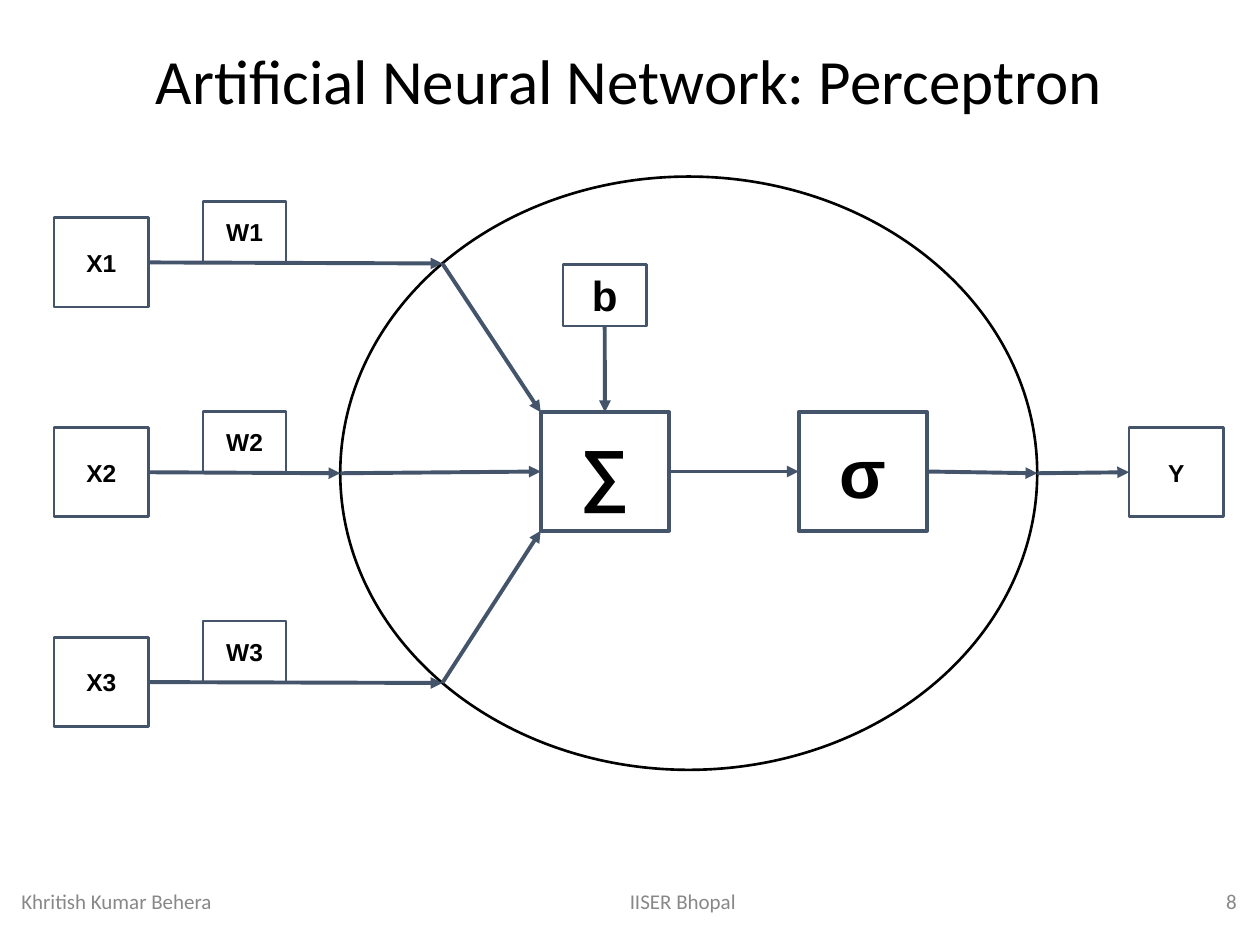
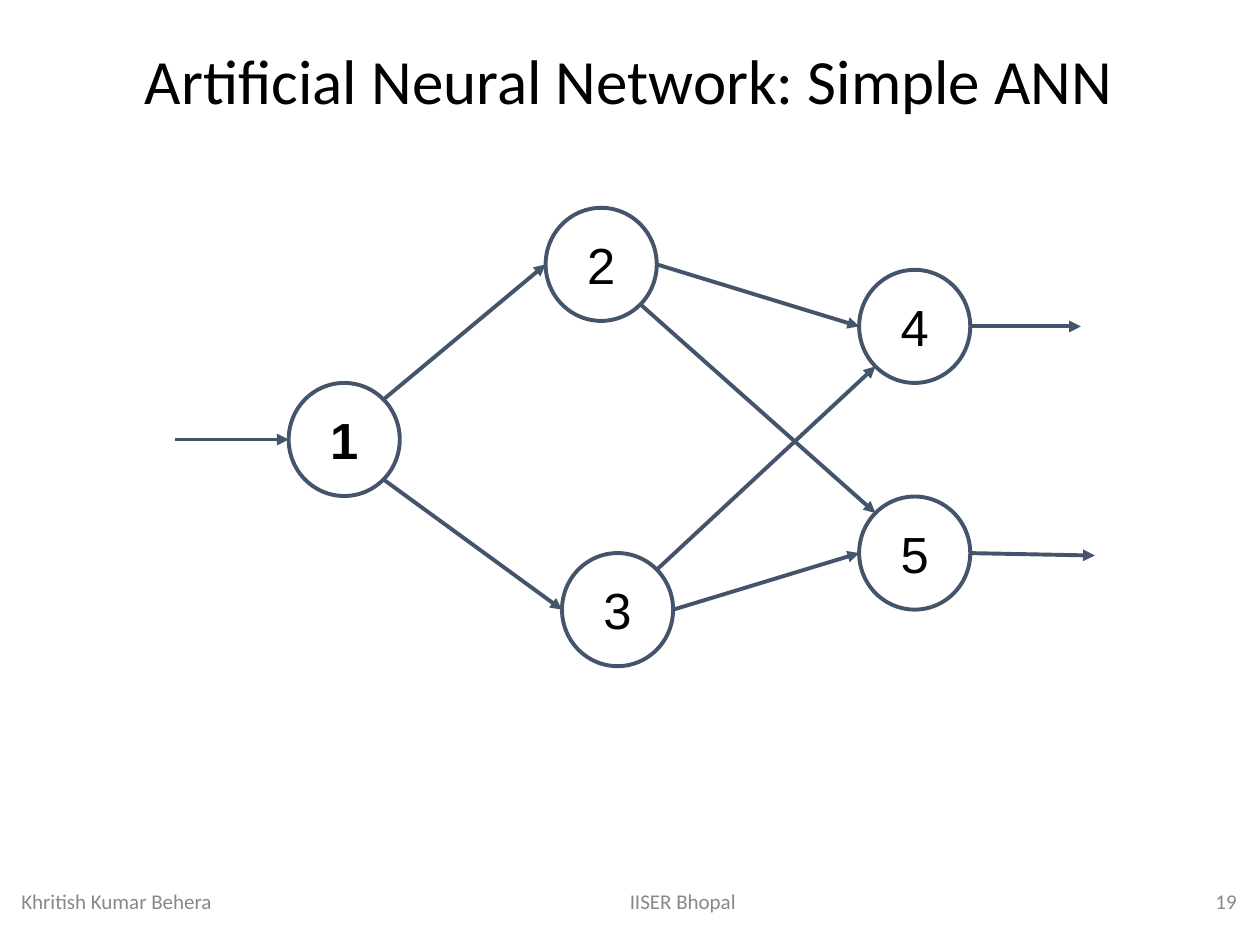
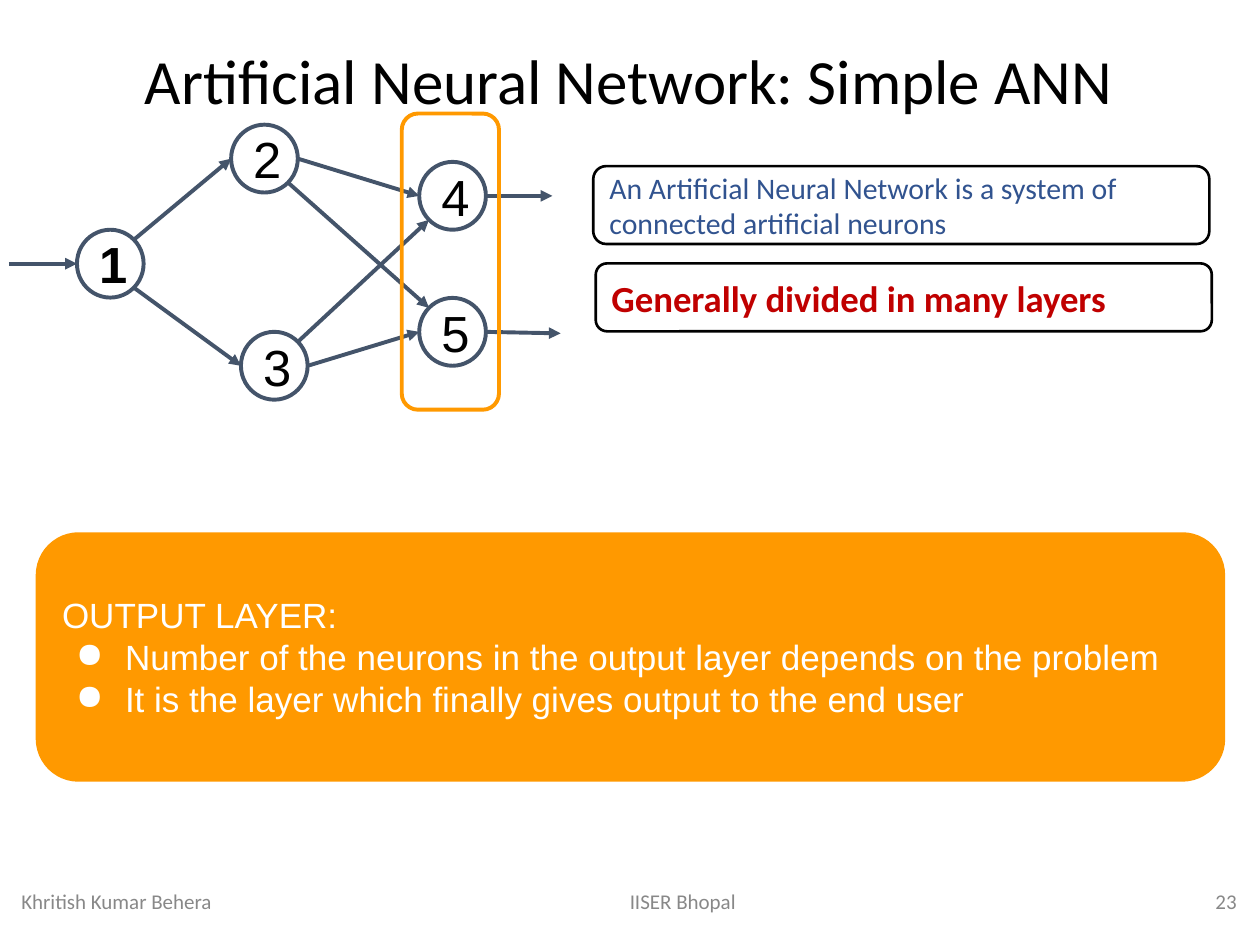
import math

import pptx
import pptx.util
from lxml import etree
from pptx.dml.color import RGBColor
from pptx.enum.shapes import MSO_CONNECTOR, MSO_SHAPE
from pptx.enum.text import MSO_ANCHOR, PP_ALIGN
from pptx.oxml.ns import qn
from pptx.util import Cm

COLORS = {
    "black": "000000", "white": "FFFFFF", "slate": "44546A", "grey": "888888",
    "blue": "31538F", "red": "C00000", "orange": "FF9900",
}
TITLE_FRAME = (0.18, 0.71, 25, 1.8)
AUTHOR, INSTITUTE = "Khritish Kumar Behera", "IISER Bhopal"
FOOTER_TOP, FOOTER_HEIGHT = 17.66, 1.02
TOP, LEFT, BOTTOM, RIGHT = range(4)

# Perceptron: frames are left, top, width, height in centimetres
INPUTS = [("X1", "W1"), ("X2", "W2"), ("X3", "W3")]
ROW_PITCH = 4.23
INPUT_FRAME = (1.09, 4.39, 1.91, 1.8)
WEIGHT_FRAME = (4.09, 4.06, 1.68, 1.24)
NEURON_FRAME = (6.86, 3.56, 14.05, 11.96)
SUM_FRAME = (10.9, 8.31, 2.59, 2.39)
ACTIVATION_FRAME = (16.1, 8.31, 2.59, 2.39)
BIAS_FRAME = (11.35, 5.33, 1.68, 1.24)
OUTPUT_FRAME = (22.76, 8.62, 1.91, 1.8)

# Simple network: node corners, and edges with the angle at which each end meets its node
NODE_WIDTH, NODE_HEIGHT = 2.24, 2.28
NODES = {"1": (5.82, 7.72), "2": (11, 4.19), "3": (11.33, 11.15),
         "4": (17.32, 5.44), "5": (17.32, 10.01)}
EDGES = [("1", -45, "2", 180), ("1", 45, "3", 180), ("2", 45, "5", 225),
         ("2", 0, "4", 180), ("3", -45, "4", 135), ("3", 0, "5", 180)]
NETWORK_INPUT = (3.53, 8.86)
NETWORK_OUTPUTS = {"4": (21.79, 6.58), "5": (22.07, 11.2)}

CALLOUTS = [
    ("An Artificial Neural Network is a system of connected artificial neurons",
     (11.96, 3.35, 12.42, 1.57), 17, "blue", False),
    ("Generally divided in many layers", (12.01, 5.31, 12.42, 1.37), 21, "red", True),
]
LAYER_FRAME = (0.76, 10.77, 23.9, 4.95)
LAYER_TITLE = "OUTPUT LAYER:"
LAYER_POINTS = [
    "Number of the neurons in the output layer depends on the problem",
    "It is the layer which finally gives output to the end user",
]
LAYER_OUTLINE = (8.1, 2.29, 1.96, 5.97)


def color(name):
    return RGBColor.from_string(COLORS[name])


def add_paragraph_text(paragraph, text, size, font="Arial", ink="black", bold=False,
                       align=PP_ALIGN.CENTER):
    paragraph.alignment = align
    run = paragraph.add_run()
    run.text = text
    run.font.name = font
    run.font.size = pptx.util.Pt(size)
    run.font.bold = bold
    run.font.color.rgb = color(ink)


def add_label(slide, frame, text, size, ink, align, anchor=MSO_ANCHOR.MIDDLE):
    text_frame = slide.shapes.add_textbox(*map(Cm, frame)).text_frame
    text_frame.word_wrap = True
    text_frame.vertical_anchor = anchor
    add_paragraph_text(text_frame.paragraphs[0], text, size, "Calibri", ink, align=align)


def add_slide(presentation, title, number):
    slide = presentation.slides.add_slide(presentation.slide_layouts[6])
    add_label(slide, TITLE_FRAME, title, 36, "black", PP_ALIGN.CENTER, MSO_ANCHOR.TOP)
    for left, width, text, align in [(0.18, 8.59, AUTHOR, PP_ALIGN.LEFT),
                                     (9.47, 8.59, INSTITUTE, PP_ALIGN.CENTER),
                                     (19.46, 5.72, str(number), PP_ALIGN.RIGHT)]:
        add_label(slide, (left, FOOTER_TOP, width, FOOTER_HEIGHT), text, 12, "grey", align)
    return slide


def add_box(slide, kind, frame, line="slate", weight=2.25, fill=None):
    shape = slide.shapes.add_shape(kind, *map(Cm, frame))
    shape.shadow.inherit = False
    if fill:
        shape.fill.solid()
        shape.fill.fore_color.rgb = color(fill)
    else:
        shape.fill.background()
    shape.line.color.rgb = color(line)
    shape.line.width = pptx.util.Pt(weight)
    text_frame = shape.text_frame
    text_frame.word_wrap = True
    text_frame.vertical_anchor = MSO_ANCHOR.MIDDLE
    text_frame.margin_left = text_frame.margin_right = Cm(0.25)
    text_frame.margin_top = text_frame.margin_bottom = Cm(0.25)
    return shape


def add_text_box(slide, frame, text, size=14, weight=1.5):
    shape = add_box(slide, MSO_SHAPE.RECTANGLE, frame, weight=weight)
    add_paragraph_text(shape.text_frame.paragraphs[0], text, size, bold=True)
    return shape


def add_arrow(slide, start=(0, 0), end=(0, 0), start_joint=None, end_joint=None):
    """Draw an arrow between points; a joint (shape, side) takes the place of a point."""
    connector = slide.shapes.add_connector(MSO_CONNECTOR.STRAIGHT, *map(Cm, start + end))
    if start_joint:
        connector.begin_connect(*start_joint)
    if end_joint:
        connector.end_connect(*end_joint)
    connector.line.color.rgb = color("slate")
    connector.line.width = pptx.util.Pt(2.25)
    properties = connector.element.spPr
    etree.SubElement(properties.find(qn("a:ln")), qn("a:tailEnd"), type="triangle")
    etree.SubElement(properties, qn("a:effectLst"))


def ellipse_point(frame, degrees):
    """Point on the ellipse in a frame; angles run clockwise from the right."""
    left, top, width, height = frame
    angle = math.radians(degrees)
    return (left + width / 2 * (1 + math.cos(angle)),
            top + height / 2 * (1 + math.sin(angle)))


def draw_perceptron(slide):
    add_box(slide, MSO_SHAPE.OVAL, NEURON_FRAME, "black", 1.5, "white")
    total = add_text_box(slide, SUM_FRAME, "∑", 39, 2.25)
    activation = add_text_box(slide, ACTIVATION_FRAME, "σ", 39, 2.25)
    bias = add_text_box(slide, BIAS_FRAME, "b", 24)
    output = add_text_box(slide, OUTPUT_FRAME, "Y")

    left, top, _, height = SUM_FRAME
    entries = [(225, {"end": (left, top)}),
               (180, {"end_joint": (total, LEFT)}),
               (135, {"end": (left, top + height)})]
    for row, ((name, weight), (degrees, target)) in enumerate(zip(INPUTS, entries)):
        input_box, _ = [
            add_text_box(slide, (x, y + row * ROW_PITCH, width, box_height), text)
            for text, (x, y, width, box_height) in [(name, INPUT_FRAME), (weight, WEIGHT_FRAME)]
        ]
        entry = ellipse_point(NEURON_FRAME, degrees)
        add_arrow(slide, end=entry, start_joint=(input_box, RIGHT))
        add_arrow(slide, start=entry, **target)

    way_out = ellipse_point(NEURON_FRAME, 0)
    add_arrow(slide, start_joint=(bias, BOTTOM), end_joint=(total, TOP))
    add_arrow(slide, start_joint=(total, RIGHT), end_joint=(activation, LEFT))
    add_arrow(slide, end=way_out, start_joint=(activation, RIGHT))
    add_arrow(slide, start=way_out, end_joint=(output, LEFT))


def draw_network(slide, scale=1, shift=0):
    def place(point):
        return point[0] * scale + shift, point[1] * scale

    frames = {name: place(corner) + (NODE_WIDTH * scale, NODE_HEIGHT * scale)
              for name, corner in NODES.items()}
    for name, frame in frames.items():
        node = add_box(slide, MSO_SHAPE.OVAL, frame)
        add_paragraph_text(node.text_frame.paragraphs[0], name, 29, bold=name == "1")
    for source, leave, target, arrive in EDGES:
        add_arrow(slide, ellipse_point(frames[source], leave),
                  ellipse_point(frames[target], arrive))
    add_arrow(slide, place(NETWORK_INPUT), ellipse_point(frames["1"], 180))
    for name, tip in NETWORK_OUTPUTS.items():
        add_arrow(slide, ellipse_point(frames[name], 0), place(tip))


def add_bullet(paragraph):
    properties = paragraph._p.get_or_add_pPr()
    properties.set("marL", str(Cm(1.27)))
    properties.set("indent", str(Cm(-0.99)))
    bullet_color = etree.SubElement(properties, qn("a:buClr"))
    etree.SubElement(bullet_color, qn("a:srgbClr"), val=COLORS["white"])
    etree.SubElement(properties, qn("a:buChar"), char="●")


def draw_output_layer(slide):
    for text, frame, size, ink, bold in CALLOUTS:
        callout = add_box(slide, MSO_SHAPE.ROUNDED_RECTANGLE, frame, "black", 1.5, "white")
        add_paragraph_text(callout.text_frame.paragraphs[0], text, size, "Calibri", ink, bold,
                           PP_ALIGN.LEFT)
    panel = add_box(slide, MSO_SHAPE.ROUNDED_RECTANGLE, LAYER_FRAME, "orange", fill="orange")
    for index, text in enumerate([LAYER_TITLE] + LAYER_POINTS):
        text_frame = panel.text_frame
        paragraph = text_frame.add_paragraph() if index else text_frame.paragraphs[0]
        add_paragraph_text(paragraph, text, 20, ink="white", align=PP_ALIGN.JUSTIFY)
        if index:
            add_bullet(paragraph)
    add_box(slide, MSO_SHAPE.ROUNDED_RECTANGLE, LAYER_OUTLINE, "orange")


def main():
    presentation = pptx.Presentation()
    presentation.slide_width, presentation.slide_height = Cm(25.4), Cm(19.05)
    draw_perceptron(add_slide(presentation, "Artificial Neural Network: Perceptron", 8))
    draw_network(add_slide(presentation, "Artificial Neural Network: Simple ANN", 19))
    layer_slide = add_slide(presentation, "Artificial Neural Network: Simple ANN", 23)
    draw_network(layer_slide, scale=0.6, shift=-1.94)
    draw_output_layer(layer_slide)
    presentation.save("out.pptx")


if __name__ == "__main__":
    main()
